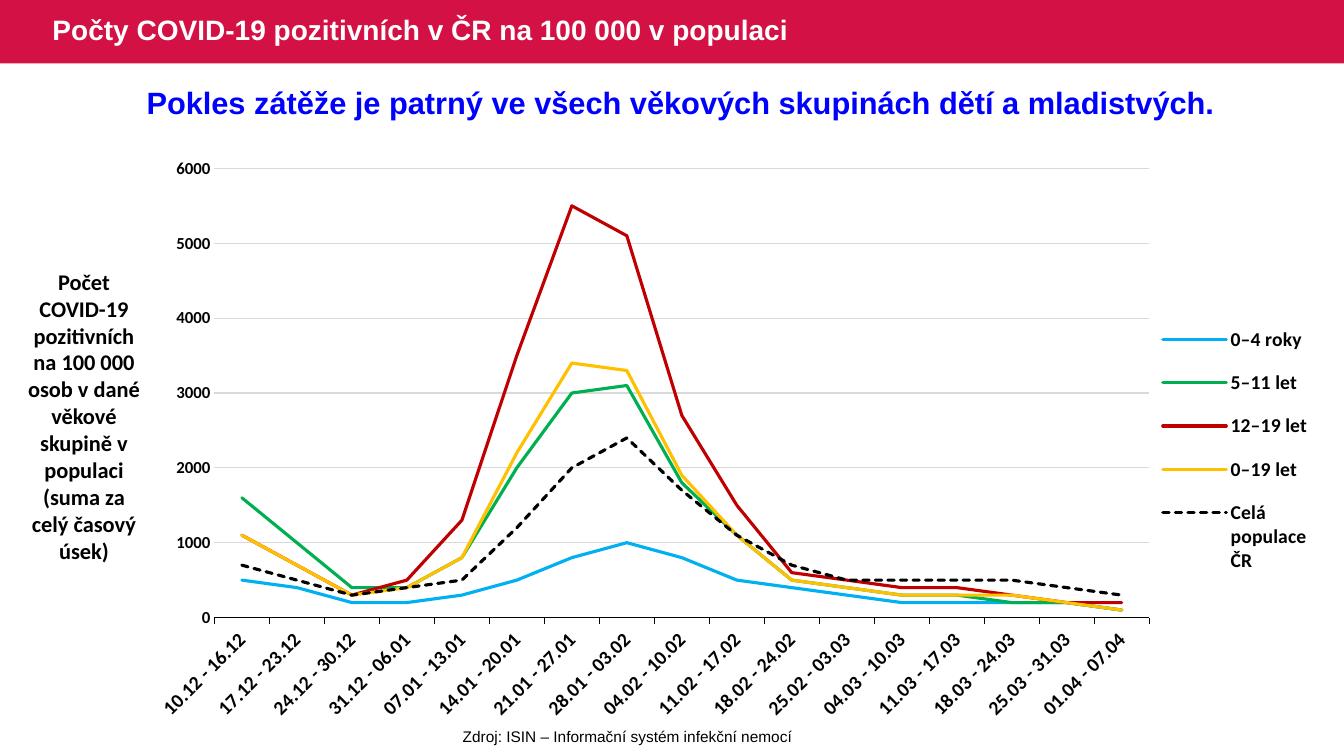
from dataclasses import dataclass

from lxml.etree import SubElement
from pptx import Presentation
from pptx.chart.data import CategoryChartData
from pptx.dml.color import RGBColor
from pptx.enum.chart import XL_CHART_TYPE, XL_LEGEND_POSITION, XL_MARKER_STYLE, XL_TICK_MARK
from pptx.enum.dml import MSO_LINE
from pptx.enum.shapes import MSO_SHAPE
from pptx.enum.text import MSO_ANCHOR, MSO_AUTO_SIZE, PP_ALIGN
from pptx.oxml.ns import qn
from pptx.util import Inches, Pt


@dataclass(frozen=True)
class Theme:
    banner: str = "D31145"
    banner_text: str = "FFFFFF"
    ink: str = "000000"
    message: str = "0000FF"
    grid: str = "D9D9D9"
    heading_font: str = "Arial"
    chart_font: str = "Calibri"
    title_size: int = 20
    message_size: int = 22
    label_size: int = 16
    chart_size: int = 14
    value_size: int = 12
    source_size: int = 11
    curve_width: float = 2.25
    hairline: float = 0.75


THEME = Theme()

WEEKS = [
    "10.12 - 16.12", "17.12 - 23.12", "24.12 - 30.12", "31.12 - 06.01", "07.01 - 13.01",
    "14.01 - 20.01", "21.01 - 27.01", "28.01 - 03.02", "04.02 - 10.02", "11.02 - 17.02",
    "18.02 - 24.02", "25.02 - 03.03", "04.03 - 10.03", "11.03 - 17.03", "18.03 - 24.03",
    "25.03 - 31.03", "01.04 - 07.04",
]

# Age group, colour, dash, positives per 100 000 in each week
AGE_GROUPS = [
    ("0–4 roky", "00B0F0", None,
     [500, 400, 200, 200, 300, 500, 800, 1000, 800, 500, 400, 300, 200, 200, 200, 200, 100]),
    ("5–11 let", "00B050", None,
     [1600, 1000, 400, 400, 800, 2000, 3000, 3100, 1800, 1100, 500, 400, 300, 300, 200, 200, 100]),
    ("12–19 let", "C00000", None,
     [1100, 700, 300, 500, 1300, 3500, 5500, 5100, 2700, 1500, 600, 500, 400, 400, 300, 200, 200]),
    ("0–19 let", "FFC000", None,
     [1100, 700, 300, 400, 800, 2200, 3400, 3300, 1900, 1100, 500, 400, 300, 300, 300, 200, 100]),
    ("Celá populace ČR", "000000", MSO_LINE.SQUARE_DOT,
     [700, 500, 300, 400, 500, 1200, 2000, 2400, 1700, 1100, 700, 500, 500, 500, 500, 400, 300]),
]


def style_font(font, family, size, color, bold):
    font.name = family
    font.size = Pt(size)
    font.color.rgb = RGBColor.from_string(color)
    font.bold = bold


def style_line(line, color, width):
    line.color.rgb = RGBColor.from_string(color)
    line.width = Pt(width)


def place_in_chart(part, index, x, y, w, h, inner=False):
    """Fix a chart part's box, given as shares of the chart's size."""
    for automatic in part.findall(qn("c:layout")):
        part.remove(automatic)
    layout = part.makeelement(qn("c:layout"))
    part.insert(index, layout)
    manual = SubElement(layout, qn("c:manualLayout"))
    settings = [("layoutTarget", "inner")] if inner else []
    settings += [("xMode", "edge"), ("yMode", "edge"), ("x", x), ("y", y), ("w", w), ("h", h)]
    for tag, value in settings:
        SubElement(manual, qn(f"c:{tag}")).set("val", str(value))


class SlideBuilder:
    """Draws on one slide; boxes are (column, row, columns, rows) of a 100 by 100 grid."""

    def __init__(self, presentation, theme):
        self.theme = theme
        self.column = presentation.slide_width / 100
        self.row = presentation.slide_height / 100
        self.slide = presentation.slides.add_slide(presentation.slide_layouts[5])

    def box(self, left, top, width, height):
        return (round(left * self.column), round(top * self.row),
                round(width * self.column), round(height * self.row))

    def fill_frame(self, frame, text, family, size, color, bold, align):
        frame.word_wrap = True
        paragraph = frame.paragraphs[0]
        paragraph.alignment = align
        run = paragraph.add_run()
        run.text = text
        style_font(run.font, family, size, color, bold)
        return paragraph

    def title(self, text, box, banner_box):
        theme = self.theme
        title = self.slide.shapes.title
        title.left, title.top, title.width, title.height = self.box(*box)
        title.text_frame.vertical_anchor = MSO_ANCHOR.MIDDLE
        paragraph = self.fill_frame(title.text_frame, text, theme.heading_font, theme.title_size,
                                    theme.banner_text, True, PP_ALIGN.LEFT)
        paragraph.line_spacing = 0.9
        banner = self.slide.shapes.add_shape(MSO_SHAPE.RECTANGLE, *self.box(*banner_box))
        banner.shadow.inherit = False
        banner.fill.solid()
        banner.fill.fore_color.rgb = RGBColor.from_string(theme.banner)
        banner.line.fill.background()
        title._element.addprevious(banner._element)

    def text(self, text, box, family, size, color, bold=True):
        frame = self.slide.shapes.add_textbox(*self.box(*box)).text_frame
        frame.auto_size = MSO_AUTO_SIZE.SHAPE_TO_FIT_TEXT
        self.fill_frame(frame, text, family, size, color, bold, PP_ALIGN.CENTER)

    def line_chart(self, categories, groups, box):
        data = CategoryChartData()
        data.categories = categories
        for name, _, _, values in groups:
            data.add_series(name, values)
        chart = self.slide.shapes.add_chart(XL_CHART_TYPE.LINE, *self.box(*box), data).chart
        chart.has_title = False
        self.chart_font(chart.font, self.theme.chart_size)
        for series, (_, color, dash, _) in zip(chart.plots[0].series, groups):
            series.smooth = False
            series.marker.style = XL_MARKER_STYLE.NONE
            line = series.format.line
            style_line(line, color, self.theme.curve_width)
            if dash is not None:
                line.dash_style = dash
            line._get_or_add_ln().set("cap", "rnd")
        self.axes(chart)
        self.legend(chart)
        place_in_chart(chart._chartSpace.chart.plotArea, 0, 0.052, 0.024, 0.795, 0.759, inner=True)

    def chart_font(self, font, size):
        style_font(font, self.theme.chart_font, size, self.theme.ink, True)

    def axes(self, chart):
        theme = self.theme
        weeks, counts = chart.category_axis, chart.value_axis
        self.chart_font(weeks.tick_labels.font, theme.chart_size)
        weeks._element.txPr.bodyPr.set("rot", str(-45 * 60000))
        weeks.major_tick_mark = XL_TICK_MARK.OUTSIDE
        style_line(weeks.format.line, theme.ink, theme.hairline)

        self.chart_font(counts.tick_labels.font, theme.value_size)
        counts.minimum_scale, counts.maximum_scale, counts.major_unit = 0, 6000, 1000
        counts.major_tick_mark = XL_TICK_MARK.NONE
        counts.format.line.fill.background()
        style_line(counts.major_gridlines.format.line, theme.grid, theme.hairline)

    def legend(self, chart):
        chart.has_legend = True
        legend = chart.legend
        legend.position = XL_LEGEND_POSITION.RIGHT
        legend.include_in_layout = False
        self.chart_font(legend.font, self.theme.chart_size)
        place_in_chart(legend._element, 1, 0.85, 0.26, 0.14, 0.48)


def main():
    presentation = Presentation()
    presentation.slide_width = Inches(13.33)
    presentation.slide_height = Inches(7.5)
    builder = SlideBuilder(presentation, THEME)
    builder.title("Počty COVID-19 pozitivních v ČR na 100 000 v populaci",
                  box=(3.15, 0, 62.8, 8.4), banner_box=(0, 0, 100, 8.4))
    builder.line_chart(WEEKS, AGE_GROUPS, box=(11.4, 20.4, 87.5, 78.3))
    builder.text("Zdroj: ISIN – Informační systém infekční nemocí", (17.7, 95.5, 58, 3.8),
                 THEME.heading_font, THEME.source_size, THEME.ink, bold=False)
    builder.text("Počet COVID-19 pozitivních na 100 000 osob v dané věkové skupině "
                 "v populaci (suma za celý časový úsek)", (1.1, 34.8, 10.3, 40.8),
                 THEME.chart_font, THEME.label_size, THEME.ink)
    builder.text("Pokles zátěže je patrný ve všech věkových skupinách dětí a mladistvých.",
                 (4.1, 10.4, 93.1, 6.3), THEME.heading_font, THEME.message_size, THEME.message)
    presentation.save("out.pptx")


if __name__ == "__main__":
    main()
